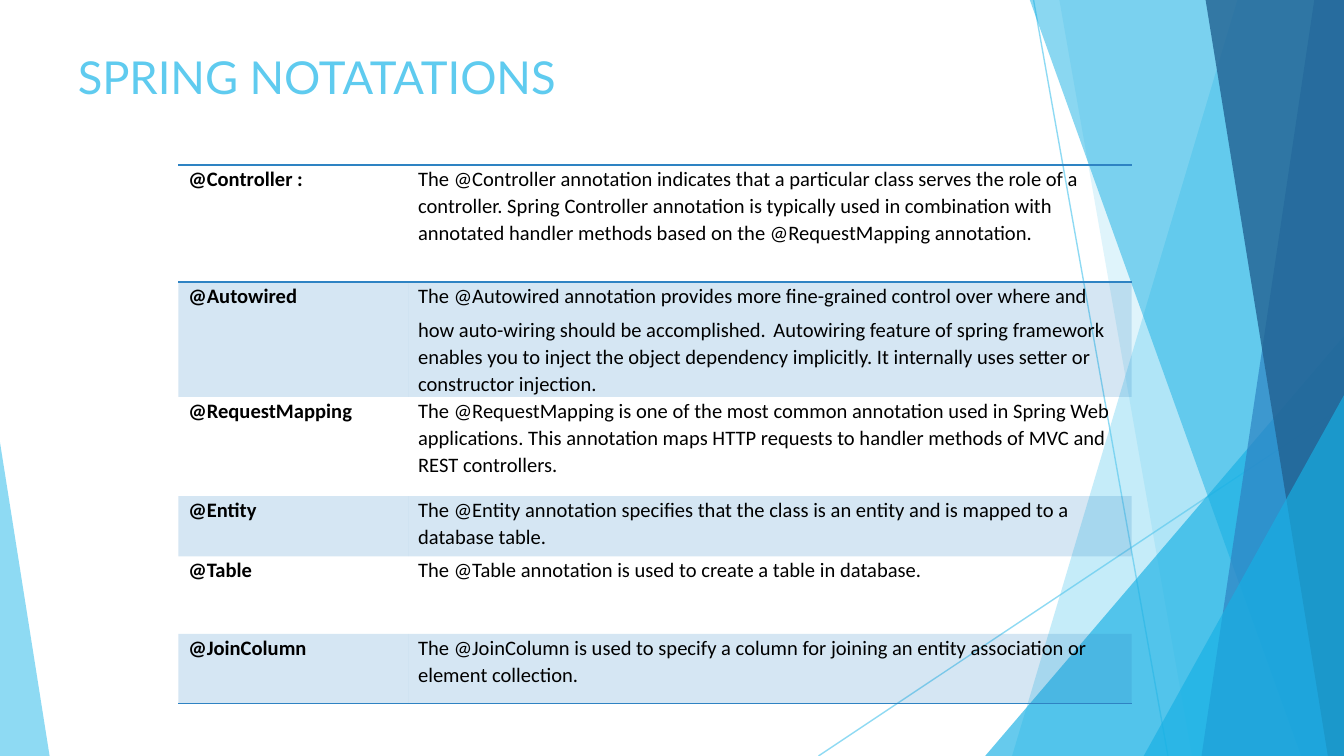
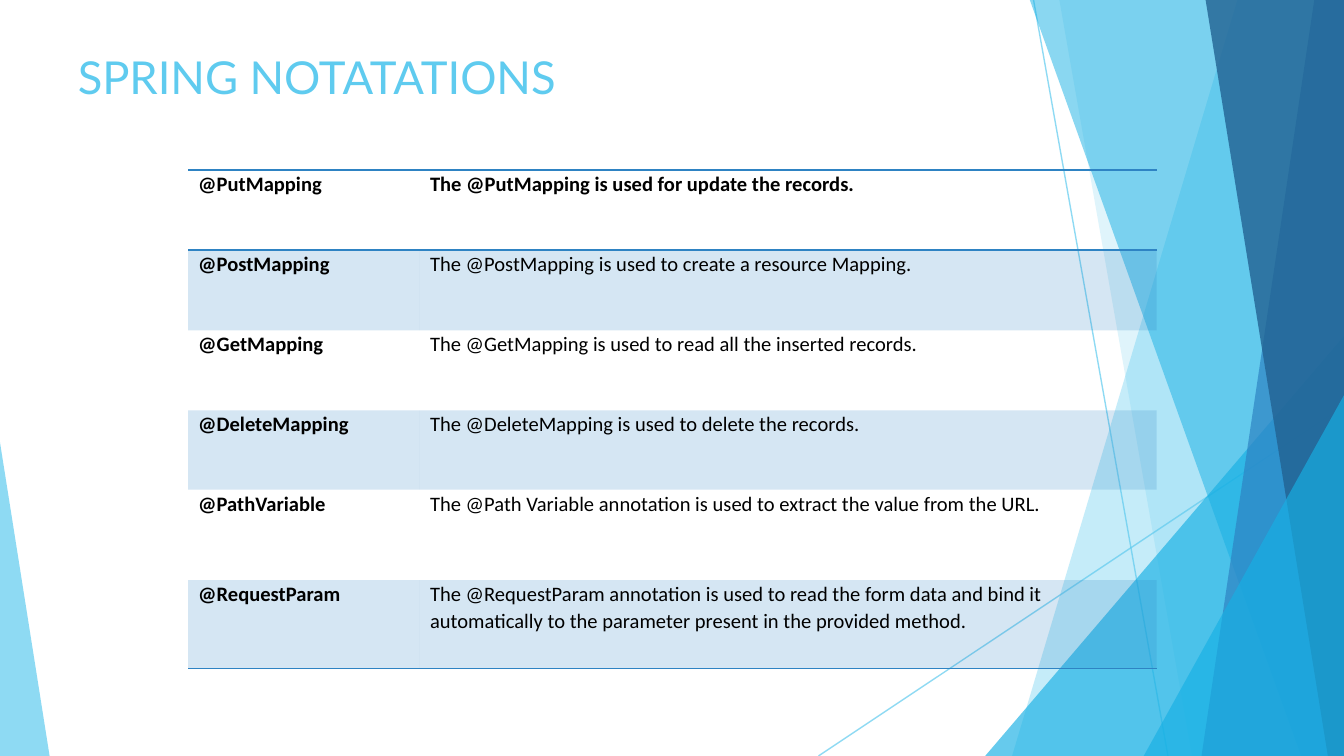
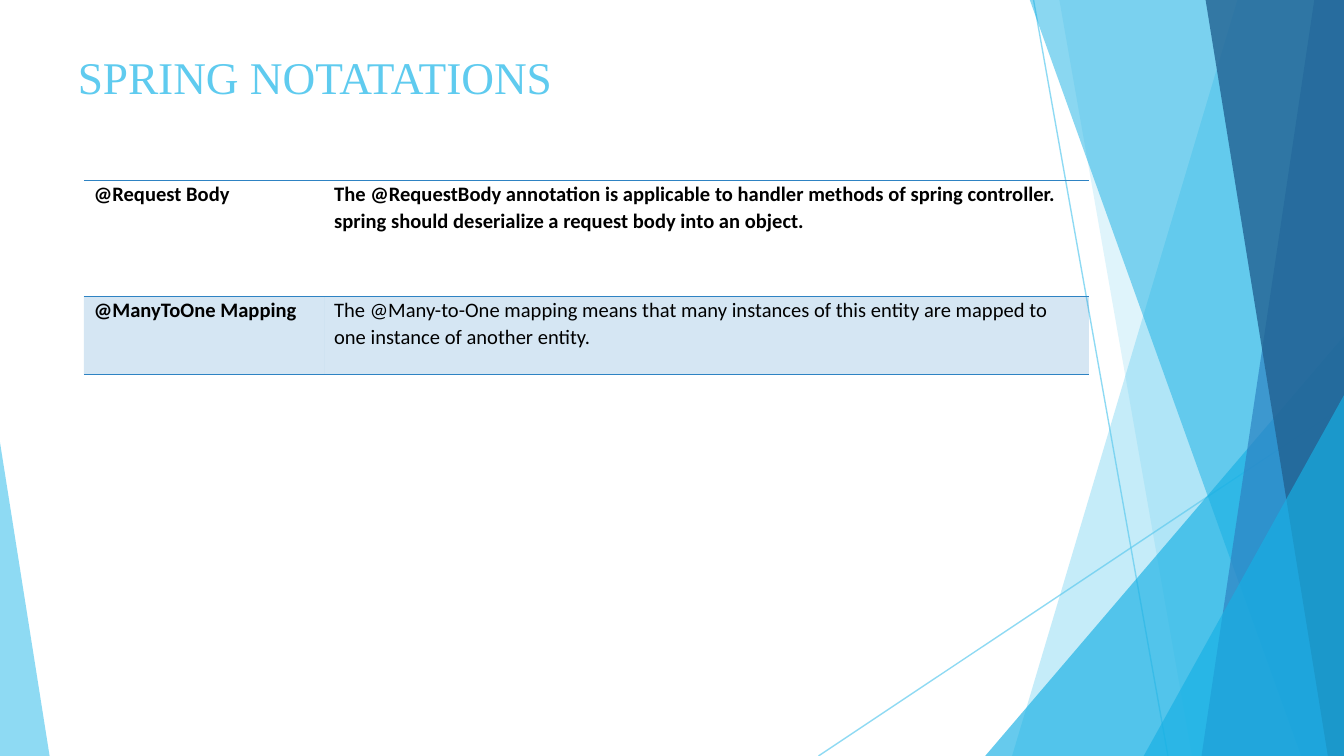
from pptx import Presentation
from pptx.dml.color import RGBColor
from pptx.enum.shapes import MSO_CONNECTOR, MSO_SHAPE
from pptx.enum.text import MSO_ANCHOR
from pptx.oxml.ns import qn
from pptx.util import Pt
from lxml.etree import SubElement

WIDE, HIGH = 720, 405
HUES = {
    "sky": "5FCBEF",
    "cyan": "17B0E4",
    "blue": "2E83C3",
    "navy": "226292",
    "ink": "000000",
}
RAYS = [(553.7, 0, 625.7, HIGH), (WIDE, 217.4, 438.5, HIGH)]
BANDS = [
    (663.1, 542.2, "sky", 36),
    (567.4, 638.6, "sky", 20),
    (551.5, 697, "cyan", 50),
    (704.2, 643.7, "blue", 70),
    (645.8, 711.4, "navy", 80),
]
PEAKS = [
    (527.8, 180, 192.2, 1, "cyan", 66),
    (612.7, 211.7, 107.3, 1, "cyan", 66),
    (0, 236.9, 26.6, 0, "sky", 70),
]
TITLE = "SPRING NOTATATIONS"
SLIDES = [
    {
        "font": "Lato",
        "box": (95.5, 88.5),
        "cols": (123.1, 387.7),
        "highs": (62.7, 61.5, 53.2, 32.2, 41.6, 37.2),
        "lead": False,
        "rows": [
            ("@Controller :", ["The @Controller annotation indicates that a particular class serves the role of a controller. Spring Controller annotation is typically used in combination with annotated handler methods based on the @RequestMapping annotation."]),
            ("@Autowired", [
                "The @Autowired annotation provides more fine-grained control over where and how auto-wiring should be accomplished.",
                " ",
                "Autowiring feature of spring framework enables you to inject the object dependency implicitly. It internally uses setter or constructor injection.",
            ]),
            ("@RequestMapping", ["The @RequestMapping is one of the most common annotation used in Spring Web applications. This annotation maps HTTP requests to handler methods of MVC and REST controllers."]),
            ("@Entity", ["The @Entity annotation specifies that the class is an entity and is mapped to a database table."]),
            ("@Table", ["The @Table annotation is used to create a table in database."]),
            ("@JoinColumn", ["The @JoinColumn is used to specify a column for joining an entity association or element collection."]),
        ],
    },
    {
        "font": "Lato",
        "box": (100.8, 91.2),
        "cols": (124.2, 394.6),
        "highs": (42.9, 42.9, 42.9, 42.5, 48.4, 47.4),
        "lead": True,
        "rows": [
            ("@PutMapping", ["The @PutMapping is used for update the records."]),
            ("@PostMapping", ["The @PostMapping is used to create a resource Mapping."]),
            ("@GetMapping", ["The @GetMapping is used to read all the inserted records."]),
            ("@DeleteMapping", ["The @DeleteMapping is used to delete the records."]),
            ("@PathVariable", ["The @Path Variable annotation is used to extract the value from the URL."]),
            ("@RequestParam", ["The @RequestParam annotation is used to read the form data and bind it automatically to the parameter present in the provided method."]),
        ],
    },
    {
        "font": "Times New Roman",
        "box": (44.9, 96.6),
        "cols": (128.7, 409.7),
        "highs": (62.2, 41.8),
        "lead": True,
        "rows": [
            ("@Request Body", ["The @RequestBody annotation is applicable to handler methods of spring controller. spring should deserialize a request body into an object."]),
            ("@ManyToOne Mapping", ["The @Many-to-One mapping means that many instances of this entity are mapped to one instance of another entity."]),
        ],
    },
]


def tint(name):
    return RGBColor.from_string(HUES[name])


def paint(fill, host, hue, share):
    fill.solid()
    fill.fore_color.rgb = tint(hue)
    tone = host.find(qn("a:solidFill")).find(qn("a:srgbClr"))
    SubElement(tone, qn("a:alpha"), val=str(share * 1000))


def coat(shape, hue, share):
    shape.shadow.inherit = False
    shape.line.fill.background()
    paint(shape.fill, shape.element.spPr, hue, share)


def add_decor(slide):
    shapes = slide.shapes
    for ray in RAYS:
        line = shapes.add_connector(MSO_CONNECTOR.STRAIGHT, *map(Pt, ray))
        line.line.width = Pt(0.75)
        frame = line.element.spPr
        paint(line.line.fill, frame.find(qn("a:ln")), "sky", 70)
        SubElement(frame, qn("a:effectLst"))

    def add_band(top, foot, hue, share):
        path = shapes.build_freeform(Pt(top), Pt(-0.6))
        ends = [(WIDE, -0.6), (WIDE, HIGH), (foot, HIGH)]
        path.add_line_segments([(Pt(x), Pt(y)) for x, y in ends], close=True)
        coat(path.convert_to_shape(), hue, share)

    def add_peak(left, top, wide, apex, hue, share):
        spot = map(Pt, (left, top, wide, HIGH - top))
        peak = shapes.add_shape(MSO_SHAPE.ISOSCELES_TRIANGLE, *spot)
        peak.adjustments[0] = apex
        coat(peak, hue, share)

    for band in BANDS[:2]:
        add_band(*band)
    add_peak(*PEAKS[0])
    for band in BANDS[2:]:
        add_band(*band)
    for peak in PEAKS[1:]:
        add_peak(*peak)


def add_title(slide, font):
    box = slide.shapes.add_textbox(Pt(34.6), Pt(23), Pt(607), Pt(45.4))
    frame = box.text_frame
    frame.word_wrap = True
    frame.vertical_anchor = MSO_ANCHOR.TOP
    para = frame.paragraphs[0]
    para.text = TITLE
    para.font.size = Pt(24.3)
    para.font.name = font
    para.font.color.rgb = tint("sky")


def add_edge(props, side):
    edge = SubElement(props, qn(f"a:{side}"), w=str(Pt(1)))
    fill = SubElement(edge, qn("a:solidFill"))
    SubElement(fill, qn("a:srgbClr"), val=HUES["blue"])


def fill_cell(cell, parts, bold, sides, shade):
    cell.margin_left = cell.margin_right = Pt(5.4)
    cell.margin_top = cell.margin_bottom = 0
    para = cell.text_frame.paragraphs[0]
    para.line_spacing = 1.07
    para.space_after = Pt(8)
    para.font.size = Pt(11)
    para.font.name = "Calibri"
    para.font.bold = bold
    para.font.color.rgb = tint("ink")
    for part in parts:
        run = para.add_run()
        run.text = part
        if part == " ":
            run.font.size = Pt(14)
            run.font.name = "Lato"
    props = cell._tc.get_or_add_tcPr()
    for side in sides:
        add_edge(props, side)
    if shade:
        paint(cell.fill, props, "blue", 20)
    else:
        cell.fill.background()


def add_notes(slide, box, cols, highs, rows, lead):
    size = (sum(cols), sum(highs))
    frame = slide.shapes.add_table(len(rows), 2, *map(Pt, box + size))
    table = frame.table
    table.first_row = table.horz_banding = False
    style = table._tbl.tblPr.find(qn("a:tableStyleId"))
    style.text = "{2D5ABB26-0587-4C30-8999-92F81FD0307C}"
    for col, wide in zip(table.columns, cols):
        col.width = Pt(wide)
    for at, (name, parts) in enumerate(rows):
        table.rows[at].height = Pt(highs[at])
        sides = ["lnT"] if at == 0 else []
        if at in (0, len(rows) - 1):
            sides.append("lnB")
        shade = at % 2 == 1
        fill_cell(table.cell(at, 0), [name], True, sides, shade)
        fill_cell(table.cell(at, 1), parts, lead and at == 0, sides, shade)


def main():
    deck = Presentation()
    deck.slide_width, deck.slide_height = Pt(WIDE), Pt(HIGH)
    for page in SLIDES:
        slide = deck.slides.add_slide(deck.slide_layouts[6])
        add_decor(slide)
        add_title(slide, page["font"])
        add_notes(slide, page["box"], page["cols"], page["highs"],
                  page["rows"], page["lead"])
    deck.save("out.pptx")


if __name__ == "__main__":
    main()
